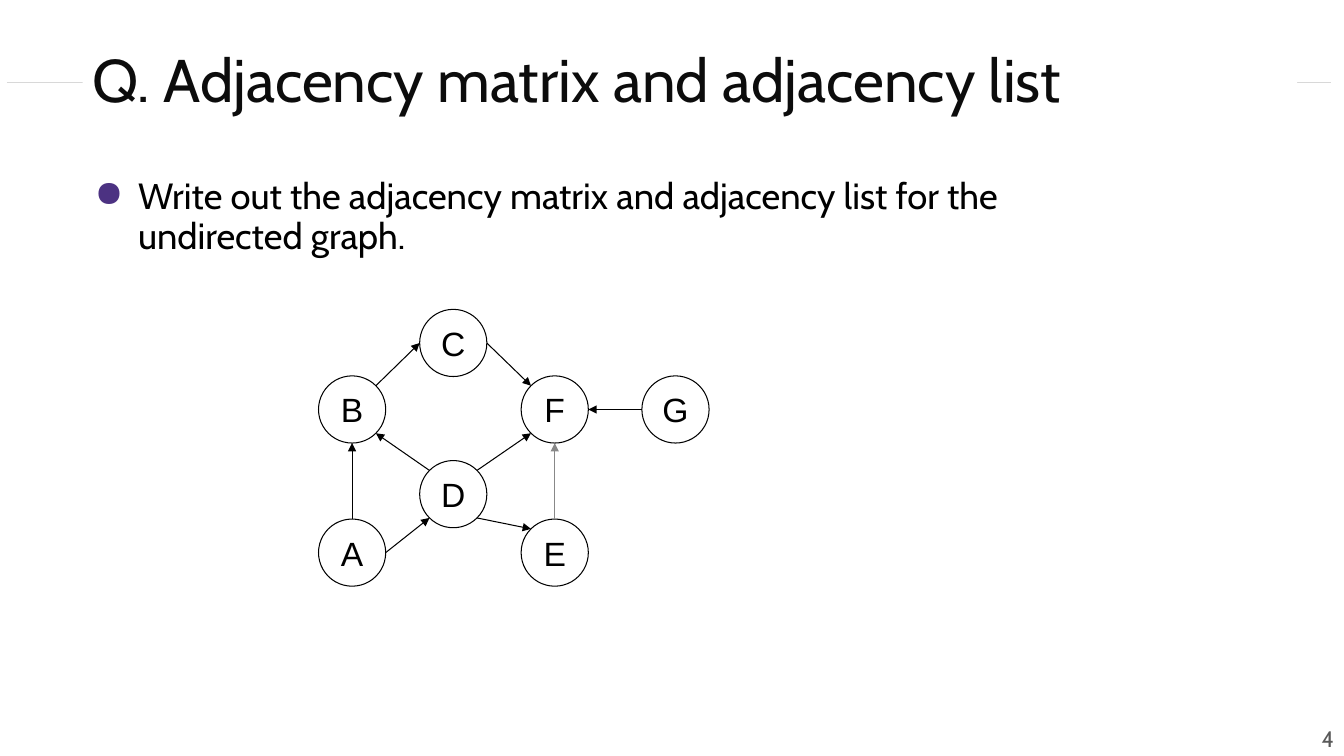
import math
from dataclasses import dataclass

import lxml.etree
import pptx
import pptx.dml.color
import pptx.enum.shapes
import pptx.enum.text
import pptx.oxml.ns
import pptx.shapes.connector
import pptx.slide
import pptx.text.text
import pptx.util

Pt = pptx.util.Pt
RGBColor = pptx.dml.color.RGBColor
ALIGN = pptx.enum.text.PP_ALIGN
ANCHOR = pptx.enum.text.MSO_ANCHOR
qn = pptx.oxml.ns.qn

WHITE = RGBColor(0xFF, 0xFF, 0xFF)
BLACK = RGBColor(0x00, 0x00, 0x00)
TITLE_INK = RGBColor(0x0C, 0x0C, 0x0C)
PAGE_INK = RGBColor(0x59, 0x59, 0x59)
RULE_GRAY = RGBColor(0xD8, 0xD8, 0xD8)
EDGE_GRAY = RGBColor(0x88, 0x88, 0x88)
BULLET_PURPLE = "4C3282"

NODE_SIZE = 48
LINE_WIDTH = 0.75
RIGHT, LOWER_RIGHT, BOTTOM, LOWER_LEFT, LEFT, UPPER_LEFT, TOP, UPPER_RIGHT = range(0, 360, 45)


@dataclass(frozen=True)
class Node:
    x: float
    y: float

    def rim(self, angle: int) -> tuple[float, float]:
        radius = NODE_SIZE / 2
        turn = math.radians(angle)
        return self.x + radius * math.cos(turn), self.y + radius * math.sin(turn)


@dataclass(frozen=True)
class Edge:
    start: str
    start_angle: int
    end: str
    end_angle: int
    color: RGBColor = BLACK


COLUMNS = (251.5, 323.75, 396.25, 482.5)
ROWS = (245, 292.5, 353, 394.75)
NODES = {
    "A": Node(COLUMNS[0], ROWS[3]),
    "B": Node(COLUMNS[0], ROWS[1]),
    "D": Node(COLUMNS[1], ROWS[2]),
    "E": Node(COLUMNS[2], ROWS[3]),
    "F": Node(COLUMNS[2], ROWS[1]),
    "C": Node(COLUMNS[1], ROWS[0]),
    "G": Node(COLUMNS[3], ROWS[1]),
}
EDGES = (
    Edge("A", TOP, "B", BOTTOM),
    Edge("A", RIGHT, "D", LOWER_LEFT),
    Edge("D", UPPER_LEFT, "B", LOWER_RIGHT),
    Edge("B", UPPER_RIGHT, "C", LEFT),
    Edge("D", UPPER_RIGHT, "F", LOWER_LEFT),
    Edge("D", LOWER_RIGHT, "E", UPPER_LEFT),
    Edge("E", TOP, "F", BOTTOM, EDGE_GRAY),
    Edge("C", RIGHT, "F", UPPER_LEFT),
    Edge("G", LEFT, "F", RIGHT),
)


def apply(target: object, values: dict[str, object]) -> None:
    for name, value in values.items():
        setattr(target, name, value)


def write(frame: pptx.text.text.TextFrame, text: str, font: str, size: float,
          color: RGBColor, frame_format: dict[str, object],
          paragraph_format: dict[str, object]) -> pptx.text.text._Paragraph:
    apply(frame, {"word_wrap": True, **frame_format})
    paragraph = frame.paragraphs[0]
    apply(paragraph, paragraph_format)
    run = paragraph.add_run()
    run.text = text
    apply(run.font, {"name": font, "size": Pt(size)})
    run.font.color.rgb = color
    return paragraph


def margins(side: float, end: float) -> dict[str, object]:
    return {"margin_left": Pt(side), "margin_right": Pt(side),
            "margin_top": Pt(end), "margin_bottom": Pt(end)}


def add_bullet(paragraph: pptx.text.text._Paragraph) -> None:
    properties = paragraph._p.get_or_add_pPr()
    apply_indent = {"marL": Pt(36), "indent": Pt(-31)}
    for name, length in apply_indent.items():
        properties.set(name, str(int(length)))
    bullet_color = lxml.etree.SubElement(properties, qn("a:buClr"))
    lxml.etree.SubElement(bullet_color, qn("a:srgbClr"), val=BULLET_PURPLE)
    lxml.etree.SubElement(properties, qn("a:buChar"), char="●")


def draw_line(slide: pptx.slide.Slide, start: tuple[float, float], end: tuple[float, float],
              color: RGBColor) -> pptx.shapes.connector.Connector:
    line = slide.shapes.add_connector(
        pptx.enum.shapes.MSO_CONNECTOR.STRAIGHT, *map(Pt, start + end))
    line.line.width = Pt(LINE_WIDTH)
    line.line.color.rgb = color
    lxml.etree.SubElement(line.element.spPr, qn("a:effectLst"))
    return line


def draw_node(slide: pptx.slide.Slide, label: str, node: Node) -> None:
    circle = slide.shapes.add_shape(
        pptx.enum.shapes.MSO_SHAPE.OVAL, Pt(node.x - NODE_SIZE / 2),
        Pt(node.y - NODE_SIZE / 2), Pt(NODE_SIZE), Pt(NODE_SIZE))
    circle.shadow.inherit = False
    circle.fill.solid()
    circle.fill.fore_color.rgb = WHITE
    circle.line.color.rgb = BLACK
    circle.line.width = Pt(LINE_WIDTH)
    write(circle.text_frame, label, "Arial", 24, BLACK,
          {"vertical_anchor": ANCHOR.MIDDLE, **margins(7.2, 7.2)},
          {"alignment": ALIGN.CENTER})


def draw_edge(slide: pptx.slide.Slide, edge: Edge) -> None:
    arrow = draw_line(slide, NODES[edge.start].rim(edge.start_angle),
                      NODES[edge.end].rim(edge.end_angle), edge.color)
    outline = arrow.element.spPr.find(qn("a:ln"))
    lxml.etree.SubElement(outline, qn("a:tailEnd"), type="triangle")


def main() -> None:
    deck = pptx.Presentation()
    apply(deck, {"slide_width": Pt(960), "slide_height": Pt(540)})
    slide = deck.slides.add_slide(deck.slide_layouts.get_by_name("Title Only"))

    title = slide.shapes.title
    apply(title, {"left": Pt(59), "top": Pt(21), "width": Pt(867.5), "height": Pt(80)})
    title.fill.solid()
    title.fill.fore_color.rgb = WHITE
    write(title.text_frame, "Q. Adjacency matrix and adjacency list", "Cabin", 43, TITLE_INK,
          {"vertical_anchor": ANCHOR.MIDDLE, "auto_size": pptx.enum.text.MSO_AUTO_SIZE.NONE,
           **margins(7.2, 3.6)},
          {"alignment": ALIGN.LEFT, "line_spacing": 0.8})

    title_rule = draw_line(slide, (5, 59.25), (950.5, 59.25), RULE_GRAY)
    title.element.addprevious(title_rule.element)

    page_number = slide.shapes.add_textbox(Pt(918.5), Pt(511), Pt(41.5), Pt(33))
    write(page_number.text_frame, "4", "Cabin", 16, PAGE_INK,
          {"vertical_anchor": ANCHOR.MIDDLE, **margins(7.2, 7.2)},
          {"alignment": ALIGN.RIGHT})

    question = slide.shapes.add_textbox(Pt(59), Pt(124), Pt(738), Pt(116.5))
    add_bullet(write(
        question.text_frame,
        "Write out the adjacency matrix and adjacency list for the undirected graph.",
        "Cabin", 26, BLACK, margins(3.6, 3.6), {"line_spacing": 0.9}))

    for label, node in NODES.items():
        draw_node(slide, label, node)
    for edge in EDGES:
        draw_edge(slide, edge)

    deck.save("out.pptx")


if __name__ == "__main__":
    main()
